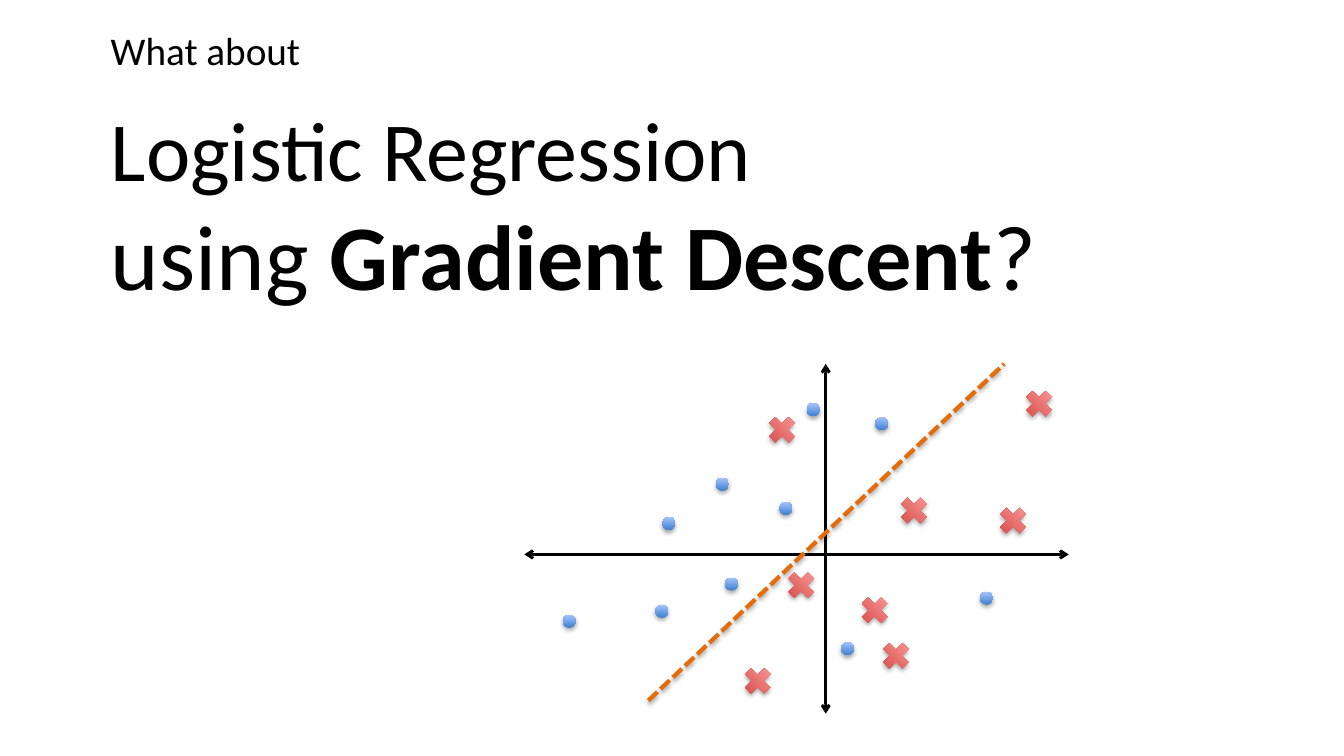
"""Build the slide that asks about logistic regression with gradient descent."""
from dataclasses import dataclass

from lxml import etree
from pptx import Presentation
from pptx.dml.color import RGBColor
from pptx.enum.dml import MSO_LINE
from pptx.enum.shapes import MSO_CONNECTOR, MSO_SHAPE
from pptx.enum.text import MSO_ANCHOR, PP_ALIGN
from pptx.oxml import parse_xml
from pptx.oxml.ns import nsdecls, qn
from pptx.util import Inches, Pt

STRAIGHT = MSO_CONNECTOR.STRAIGHT
OVAL, CROSS = MSO_SHAPE.OVAL, MSO_SHAPE.CROSS
DASH = MSO_LINE.SQUARE_DOT
TOP, LEFT = MSO_ANCHOR.TOP, PP_ALIGN.LEFT
TITLE_ONLY = 5


@dataclass(frozen=True)
class Theme:
    """Colours and type sizes of the slide."""
    font: str = "Calibri"
    ink: str = "000000"
    boundary: str = "E46C0A"
    blue: tuple = ("3F80CE", "A4C4FF")
    red: tuple = ("D1403C", "FFA6A5")
    intro: int = 28
    first_line: int = 60
    second_line: int = 66


class SlideBuilder:
    """Draws styled elements on one slide."""

    def __init__(self, slide, theme):
        self.s = slide
        self.theme = theme

    def fill_text(self, sp, box, lines):
        """Place a text shape and fill one paragraph with lines of runs."""
        sp.left, sp.top, sp.width, sp.height = map(Inches, box)
        tf = sp.text_frame
        tf.word_wrap = True
        tf.vertical_anchor = TOP
        p = tf.paragraphs[0]
        p.alignment = LEFT
        for i, runs in enumerate(lines):
            if i:
                p.add_line_break()
            for text, size, bold in runs:
                r = p.add_run()
                r.text = text
                r.font.color.rgb = RGBColor.from_string(self.theme.ink)
                style = {"name": self.theme.font, "size": Pt(size), "bold": bold}
                for key, value in style.items():
                    setattr(r.font, key, value)

    def title(self, box, lines):
        """Format the title placeholder."""
        self.fill_text(self.s.shapes.title, box, lines)

    def text(self, box, lines):
        """Add a text box."""
        self.fill_text(self.s.shapes.add_textbox(0, 0, 0, 0), box, lines)

    def shadow(self, sp):
        """Give a shape a soft shadow straight below it."""
        sp._element.spPr.append(parse_xml(
            f'<a:effectLst {nsdecls("a")}><a:outerShdw blurRad="40000" dist="23000" '
            'dir="5400000" rotWithShape="0"><a:srgbClr val="000000">'
            '<a:alpha val="35000"/></a:srgbClr></a:outerShdw></a:effectLst>'))

    def line(self, start, end, color, width):
        """Add a plain straight line."""
        sp = self.s.shapes.add_connector(STRAIGHT, *map(Inches, start + end))
        sp.line.color.rgb = RGBColor.from_string(color)
        sp.line.width = Pt(width)
        return sp

    def axis(self, start, end):
        """Add an axis with an arrowhead at both ends."""
        sp = self.line(start, end, self.theme.ink, 2)
        ln = sp.line._get_or_add_ln()
        for tag in ("a:headEnd", "a:tailEnd"):
            etree.SubElement(ln, qn(tag), type="arrow")
        etree.SubElement(sp._element.spPr, qn("a:effectLst"))

    def boundary(self, start, end):
        """Add the dashed decision boundary."""
        sp = self.line(start, end, self.theme.boundary, 3)
        sp.line.dash_style = DASH
        self.shadow(sp)

    def marker(self, kind, at, size, colors):
        """Add a data point with a vertical gradient."""
        sp = self.s.shapes.add_shape(kind, *map(Inches, (*at, size, size)))
        sp.fill.gradient()
        sp.fill.gradient_angle = 90
        for stop, color, position in zip(sp.fill.gradient_stops, colors, (0, 1)):
            stop.color.rgb = RGBColor.from_string(color)
            stop.position = position
        sp.line.fill.background()
        self.shadow(sp)
        return sp

    def dot(self, at):
        """Add a blue dot."""
        self.marker(OVAL, at, 0.13, self.theme.blue)

    def cross(self, at):
        """Add a red diagonal cross."""
        sp = self.marker(CROSS, at, 0.27, self.theme.red)
        sp.adjustments[0] = 0.343
        sp.rotation = 45


DOTS = [(7.1, 4.74), (7.73, 4.98), (8.34, 6.37), (8, 4), (9.72, 5.87), (8.68, 4.14),
        (6.5, 6), (7.19, 5.73), (6.57, 5.13), (5.58, 6.1)]
CROSSES = [(7.38, 6.62), (8.54, 5.92), (8.75, 6.37), (7.81, 5.67), (7.62, 4.13),
           (8.93, 4.93), (10.17, 3.87), (9.91, 5.03)]


def main():
    """Create and save the presentation."""
    prs = Presentation()
    prs.slide_width, prs.slide_height = Inches(13.33), Inches(7.5)
    theme = Theme()
    b = SlideBuilder(prs.slides.add_slide(prs.slide_layouts[TITLE_ONLY]), theme)
    big = theme.second_line
    b.title((1, 0.92, 11.33, 2.81), [
        [("Logistic Regression", theme.first_line, False)],
        [("using ", big, False), ("Gradient Descent", big, True), ("?", big, False)]])
    b.text((1, 0.21, 7, 0.75), [[("What about", theme.intro, False)]])
    b.axis((8.19, 3.61), (8.19, 7.08))
    b.axis((5.2, 5.5), (10.6, 5.5))
    b.boundary((6.43, 6.95), (9.96, 3.61))
    for at in DOTS:
        b.dot(at)
    for at in CROSSES:
        b.cross(at)
    prs.save("out.pptx")


if __name__ == "__main__":
    main()
